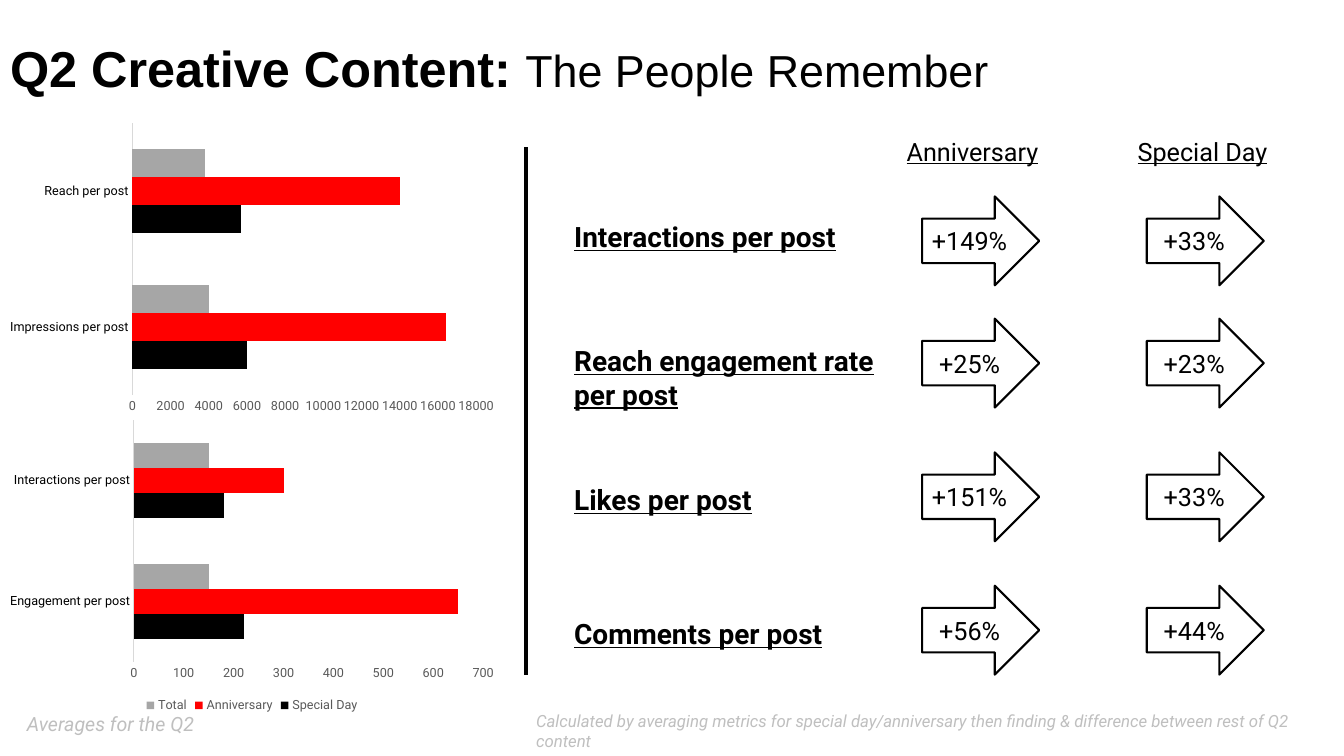
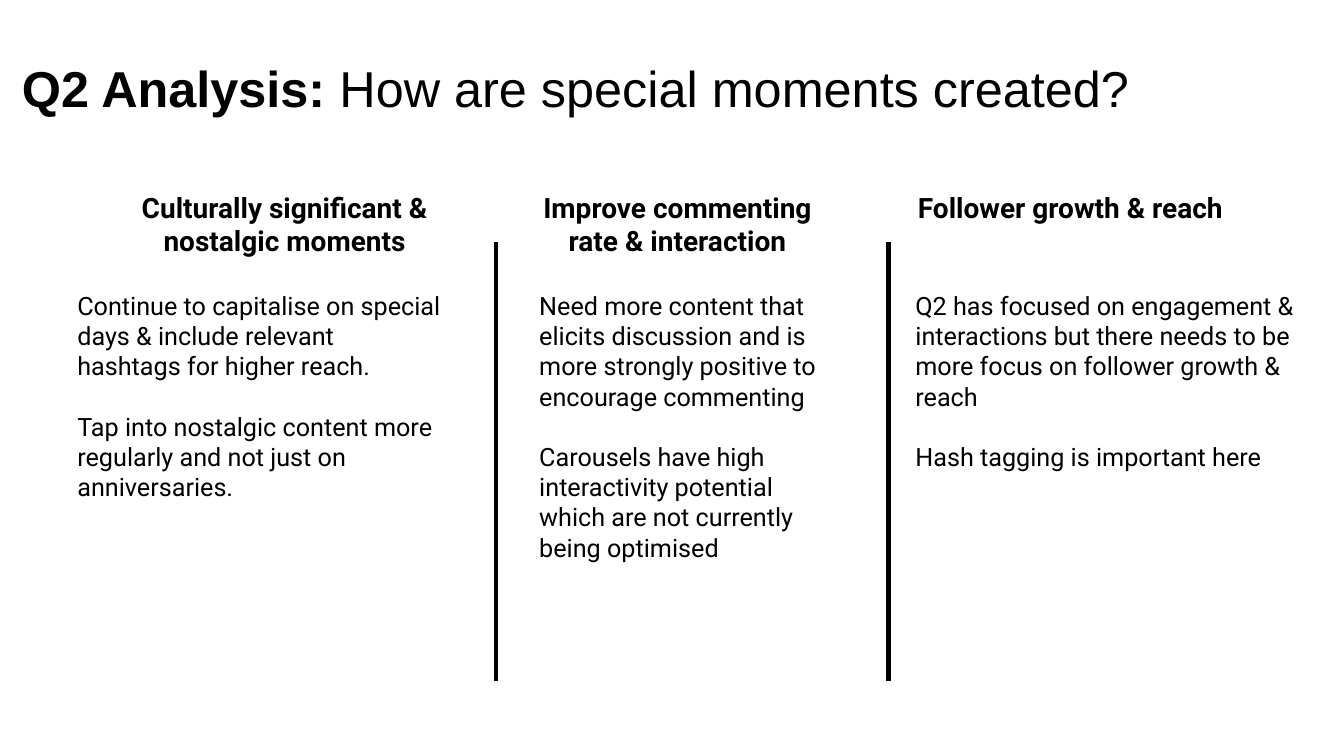
from lxml import etree
from pptx import Presentation
from pptx.chart.data import CategoryChartData
from pptx.dml.color import RGBColor
from pptx.enum.chart import XL_CHART_TYPE as Chart, XL_LEGEND_POSITION as Legend, XL_TICK_MARK as Tick
from pptx.enum.shapes import MSO_CONNECTOR as Connector, MSO_SHAPE as Shape
from pptx.enum.text import MSO_ANCHOR as Anchor, MSO_AUTO_SIZE as AutoSize, PP_ALIGN as Align
from pptx.oxml.ns import qn
from pptx.util import Cm, Pt

BLACK, WHITE, RED = "000000", "FFFFFF", "FF0000"
GREY, AXIS_GREY, LABEL_GREY, NOTE_GREY = "A6A6A6", "D9D9D9", "595959", "BFBFBF"
HEADING_FONT, BODY_FONT = "Arial", "Roboto"
SERIES = (("Special Day", BLACK), ("Anniversary", RED), ("Total", GREY))


def rgb(hex_colour):
    return RGBColor.from_string(hex_colour)


def style_font(font, size, colour=BLACK, name=BODY_FONT, bold=False, italic=False, underline=False):
    font.name, font.size = name, Pt(size)
    font.bold, font.italic, font.underline = bold, italic, underline
    font.color.rgb = rgb(colour)


def write(frame, *paragraphs, align=Align.LEFT, gap=0, **font_format):
    """Fill a text frame; each paragraph after the first stands gap points lower."""
    frame.word_wrap = True
    for index, text in enumerate(paragraphs):
        paragraph = frame.add_paragraph() if index else frame.paragraphs[0]
        paragraph.alignment = align
        paragraph.space_before = Pt(gap if index else 0)
        run = paragraph.add_run()
        run.text = text
        style_font(run.font, **font_format)


def add_text(slide, left, top, width, height, *paragraphs, **text_format):
    box = slide.shapes.add_textbox(Cm(left), Cm(top), Cm(width), Cm(height))
    write(box.text_frame, *paragraphs, **text_format)


def add_title(slide, left, top, topic, message, message_size=36):
    title = slide.shapes.title
    title.left, title.top, title.width, title.height = Cm(left), Cm(top), Cm(29.2), Cm(3.68)
    frame = title.text_frame
    frame.auto_size, frame.vertical_anchor = AutoSize.NONE, Anchor.MIDDLE
    write(frame, topic + " ", size=36, name=HEADING_FONT, bold=True)
    paragraph = frame.paragraphs[0]
    paragraph.line_spacing = 0.9
    run = paragraph.add_run()
    run.text = message
    style_font(run.font, message_size, name=HEADING_FONT)


def add_divider(slide, x, top, bottom):
    divider = slide.shapes.add_connector(Connector.STRAIGHT, Cm(x), Cm(top), Cm(x), Cm(bottom))
    divider.line.color.rgb = rgb(BLACK)
    divider.line.width = Pt(3)
    etree.SubElement(divider._element.spPr, qn("a:effectLst"))


def add_metric_chart(slide, left, top, metrics, maximum, step, legend=False):
    """Draw one bar group per metric; its values follow the order of SERIES."""
    data = CategoryChartData(number_format="0")
    data.categories = list(metrics)
    for (name, _), values in zip(SERIES, zip(*metrics.values())):
        data.add_series(name, values)
    chart = slide.shapes.add_chart(
        Chart.BAR_CLUSTERED, Cm(left), Cm(top), Cm(12.7), Cm(7.62), data).chart
    style_font(chart.font, 10)
    chart.has_title = False

    plot = chart.plots[0]
    plot.gap_width, plot.overlap, plot.vary_by_categories = 182, 0, False
    for series, (_, colour) in zip(plot.series, SERIES):
        series.format.fill.solid()
        series.format.fill.fore_color.rgb = rgb(colour)

    for axis, colour in ((chart.category_axis, BLACK), (chart.value_axis, LABEL_GREY)):
        axis.major_tick_mark = axis.minor_tick_mark = Tick.NONE
        axis.has_major_gridlines = False
        style_font(axis.tick_labels.font, 9, colour)
    chart.category_axis.format.line.color.rgb = rgb(AXIS_GREY)
    chart.category_axis.format.line.width = Pt(0.75)
    values_axis = chart.value_axis
    values_axis.format.line.fill.background()
    values_axis.minimum_scale, values_axis.maximum_scale = 0, maximum
    values_axis.major_unit = step

    chart.has_legend = legend
    if legend:
        chart.legend.position = Legend.BOTTOM
        chart.legend.include_in_layout = False
        style_font(chart.legend.font, 9, LABEL_GREY)


def add_change_arrow(slide, left, top, change):
    arrow = slide.shapes.add_shape(Shape.RIGHT_ARROW, Cm(left), Cm(top), Cm(2.95), Cm(2.24))
    arrow.shadow.inherit = False
    arrow.fill.solid()
    arrow.fill.fore_color.rgb = rgb(WHITE)
    arrow.line.color.rgb = rgb(BLACK)
    arrow.line.width = Pt(1.5)
    frame = arrow.text_frame
    frame.margin_left = frame.margin_right = 0
    frame.vertical_anchor = Anchor.MIDDLE
    write(frame, change, align=Align.CENTER, size=18)


def add_change_grid(slide, left, top):
    """Compare both kinds of special moment, one metric a row."""
    arrow_lefts = (left + 9.02, left + 14.68)
    for heading, heading_left in (("Anniversary", 8.38), ("Special Day", 14.2)):
        add_text(slide, left + heading_left, top, 3.94, 1.02, heading, size=18, underline=True)
    rows = (
        # metric, label offset, arrow offset, changes
        ("Interactions per post", 2.11, 1.65, ("+149%", "+33%")),
        ("Reach engagement rate per post", 5.23, 4.73, ("+25%", "+23%")),
        ("Likes per post", 8.74, 8.1, ("+151%", "+33%")),
        ("Comments per post", 12.12, 11.46, ("+56%", "+44%")),
    )
    for metric, label_top, arrow_top, changes in rows:
        add_text(slide, left, top + label_top, 8.53, 1.12, metric,
                 size=20, bold=True, underline=True)
        for arrow_left, change in zip(arrow_lefts, changes):
            add_change_arrow(slide, arrow_left, top + arrow_top, change)


def add_moment_column(slide, left, top, heading, advice, advice_shift, advice_width):
    add_text(slide, left, top, 8.31, 1.96, heading, align=Align.CENTER, size=20, bold=True)
    add_text(slide, left + advice_shift, top + 2.52, advice_width, 7.19, *advice,
             gap=21.5, size=18)


def build_content_slide(slide):
    add_title(slide, 0, -0.05, "Q2 Creative Content:", "The People Remember", 32)
    add_metric_chart(slide, 0, 10.44, {
        "Engagement per post": (220, 650, 150),
        "Interactions per post": (180, 300, 150),
    }, maximum=700, step=100, legend=True)
    add_metric_chart(slide, 0, 2.95, {
        "Impressions per post": (6000, 16400, 4000),
        "Reach per post": (5700, 14000, 3800),
    }, maximum=18000, step=2000)
    add_divider(slide, 13.26, 3.71, 17)
    add_change_grid(slide, 14.22, 3.3)
    add_text(slide, 13.26, 17.78, 20.19, 1.27,
             "Calculated by averaging metrics for special day/anniversary then finding "
             "& difference between rest of Q2 content",
             size=12, colour=NOTE_GREY, italic=True)
    add_text(slide, 0.43, 17.81, 13.26, 0.86, "Averages for the Q2",
             size=14, colour=NOTE_GREY, italic=True)


def build_analysis_slide(slide):
    add_title(slide, 0.3, 0.46, "Q2 Analysis:", "How are special moments created?")
    first_left, pitch, top = 3.02, 9.9, 4.67
    columns = (
        ("Culturally significant & nostalgic moments",
         ("Continue to capitalise on special days & include relevant hashtags for higher reach.",
          "Tap into nostalgic content more regularly and not just on anniversaries."),
         -1.32, 9.68),
        ("Improve commenting rate & interaction",
         ("Need more content that elicits discussion and is more strongly positive "
          "to encourage commenting",
          "Carousels have high interactivity potential which are not currently being optimised"),
         0.42, 7.54),
        ("Follower growth & reach",
         ("Q2 has focused on engagement & interactions but there needs to be more focus on "
          "follower growth & reach",
          "Hash tagging is important here"),
         0, 10.16),
    )
    for index, column in enumerate(columns):
        left = first_left + index * pitch
        add_moment_column(slide, left, top, *column)
        if index:
            add_divider(slide, left - 0.43, 6.1, 17.17)


def main():
    deck = Presentation()
    deck.slide_width, deck.slide_height = Cm(33.87), Cm(19.05)
    title_only = deck.slide_layouts[5]
    for build in (build_content_slide, build_analysis_slide):
        build(deck.slides.add_slide(title_only))
    deck.save("out.pptx")


if __name__ == "__main__":
    main()
